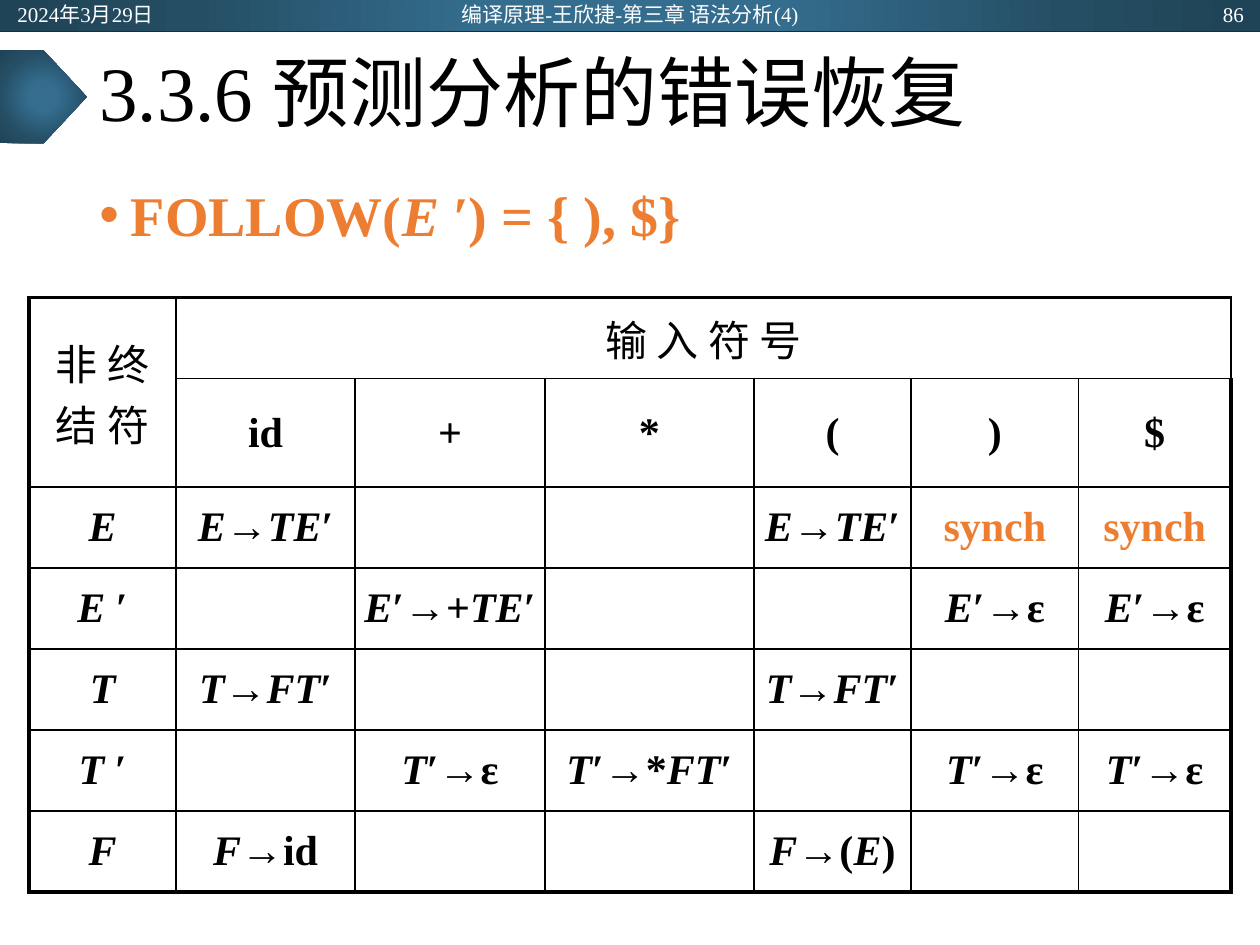
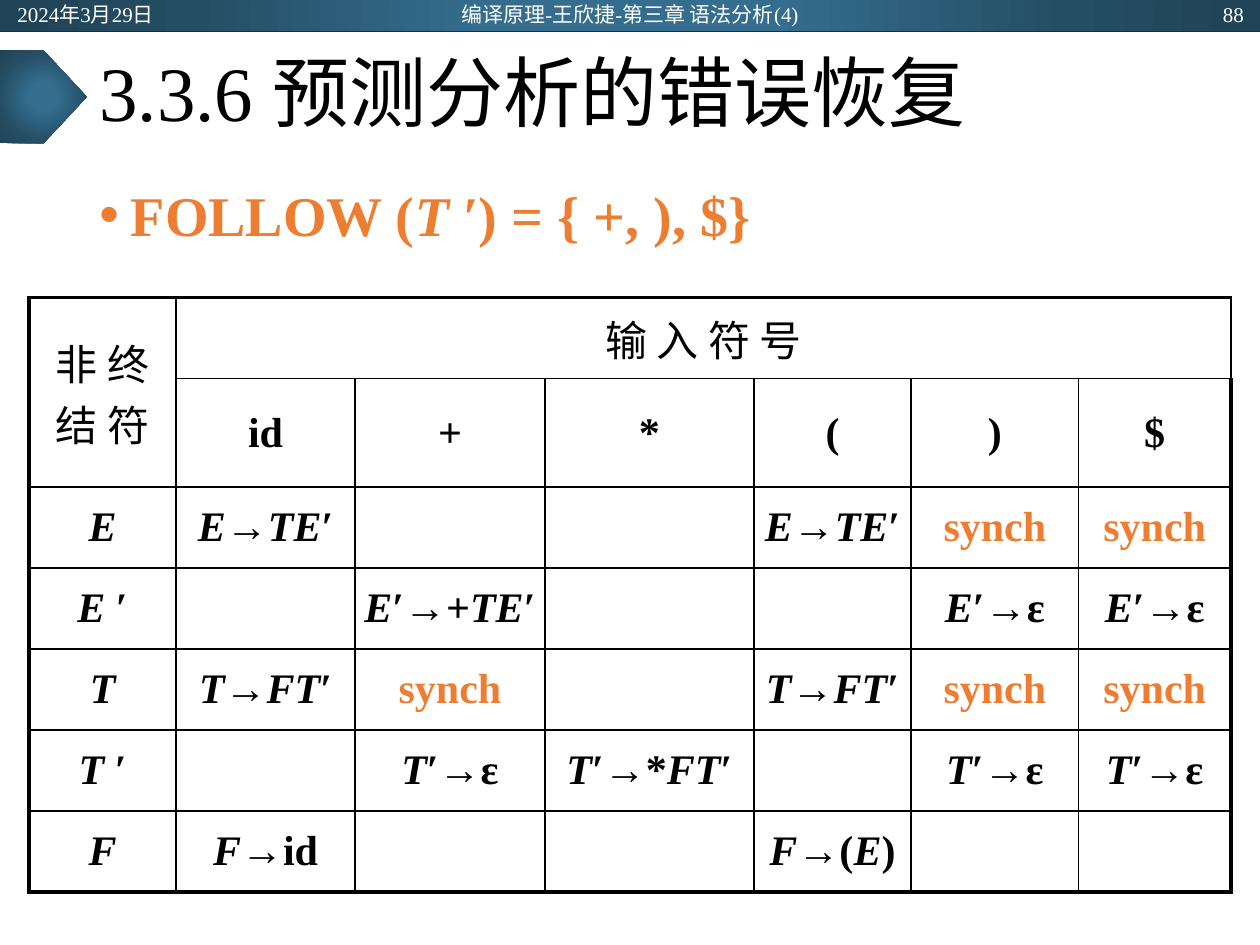
from itertools import groupby

from lxml import etree
from pptx import Presentation
from pptx.dml.color import RGBColor
from pptx.enum.shapes import MSO_CONNECTOR, MSO_SHAPE
from pptx.enum.text import MSO_ANCHOR, PP_ALIGN
from pptx.oxml.ns import qn
from pptx.util import Inches, Pt

LEFT, CENTER, RIGHT = PP_ALIGN.LEFT, PP_ALIGN.CENTER, PP_ALIGN.RIGHT
TOP, MIDDLE = MSO_ANCHOR.TOP, MSO_ANCHOR.MIDDLE
RECTANGLE, PENTAGON = MSO_SHAPE.RECTANGLE, MSO_SHAPE.PENTAGON
STRAIGHT = MSO_CONNECTOR.STRAIGHT

SLIDE_W, SLIDE_H = Inches(10), Inches(7.5)
FONT = "Times New Roman"
COLORS = {
    "ink": "000000",
    "paper": "FFFFFF",
    "accent": "ED7D31",
    "rule": "222A35",
    "glow": "346D8E",
    "shade": "254E64",
    "edge": "204457",
}
GLOW_STOPS = [(0, "glow"), (23, "glow"), (69, "shade"), (97, "edge")]
THIN, THICK = Pt(1), Pt(2.25)

DATE = "2024年3月29日"
COURSE = "编译原理-王欣捷-第三章 语法分析(4)"
TITLE = "3.3.6 预测分析的错误恢复"
VARIABLES = "ETF "
SYNCH = "synch"
COLUMN_WEIGHTS = [1.17, 1.42, 1.51, 1.66, 1.25, 1.33, 1.21]
TERMINALS = ["id", "+", "*", "(", ")", "$"]
PRODUCTIONS = {
    "E": {"id": "E→TE′", "(": "E→TE′"},
    "E ′": {"+": "E′→+TE′", ")": "E′→ε", "$": "E′→ε"},
    "T": {"id": "T→FT′", "(": "T→FT′"},
    "T ′": {"+": "T′→ε", "*": "T′→*FT′", ")": "T′→ε", "$": "T′→ε"},
    "F": {"id": "F→id", "(": "F→(E)"},
}
STEPS = [
    {"page": "86", "follow": ("FOLLOW(", "E ′) = { ), $}"),
     "synch": {"E": ")$"}},
    {"page": "88", "follow": ("FOLLOW (", "T ′) = { +, ), $}"),
     "synch": {"E": ")$", "T": "+)$"}},
]


def rgb(name):
    return RGBColor.from_string(COLORS[name])


def share(left, top, width, height):
    return (int(SLIDE_W * left), int(SLIDE_H * top),
            int(SLIDE_W * width), int(SLIDE_H * height))


def style_run(run, size, color, bold=False, italic=False):
    font = run.font
    font.name, font.size = FONT, Pt(size)
    font.bold, font.italic = bold, italic
    font.color.rgb = rgb(color)


def add_symbols(paragraph, text, size, color):
    for italic, letters in groupby(text, lambda letter: letter in VARIABLES):
        run = paragraph.add_run()
        run.text = "".join(letters)
        style_run(run, size, color, True, italic)


def add_text_area(slide, box, anchor):
    frame = slide.shapes.add_textbox(*box).text_frame
    frame.word_wrap = True
    frame.vertical_anchor = anchor
    return frame


def add_line_of_text(slide, box, text, size, color, align=LEFT):
    paragraph = add_text_area(slide, box, MIDDLE).paragraphs[0]
    paragraph.text = text
    paragraph.alignment = align
    style_run(paragraph.runs[0], size, color)
    return paragraph


def add_glowing_shape(slide, kind, box):
    shape = slide.shapes.add_shape(kind, *box)
    shape.shadow.inherit = False
    shape.line.fill.background()
    properties = shape.fill._xPr
    gradient = etree.Element(qn("a:gradFill"), rotWithShape="1")
    stops = etree.SubElement(gradient, qn("a:gsLst"))
    for position, color in GLOW_STOPS:
        stop = etree.SubElement(stops, qn("a:gs"), pos=str(position * 1000))
        etree.SubElement(stop, qn("a:srgbClr"), val=COLORS[color])
    circle = etree.SubElement(gradient, qn("a:path"), path="circle")
    etree.SubElement(circle, qn("a:fillToRect"),
                     {side: "50000" for side in "ltrb"})
    properties.find(qn("a:prstGeom")).addnext(gradient)


def add_header(slide, box, page):
    left, top, width, height = box
    add_glowing_shape(slide, RECTANGLE, box)
    rule = slide.shapes.add_connector(
        STRAIGHT, left, top + height, left + width, top + height)
    rule.line.color.rgb = rgb("rule")
    rule.line.width = Pt(0.5)
    etree.SubElement(rule.line._get_or_add_ln().getparent(), qn("a:effectLst"))
    parts = [(DATE, 0.004, 0.225, LEFT), (COURSE, 0.331, 0.338, CENTER),
             (page, 0.772, 0.225, RIGHT)]
    for text, start, span, align in parts:
        area = (left + int(width * start), top + int(height * 0.04),
                int(width * span), int(height * 0.8))
        add_line_of_text(slide, area, text, 12, "paper", align)


def add_title(slide, box):
    left, top, width, height = box
    marker_width = int(width * 0.08)
    add_glowing_shape(slide, PENTAGON, (
        0, top + int(height * 0.145), marker_width, int(height * 0.71)))
    title = add_line_of_text(slide, box, TITLE, 44, "ink")
    title.line_spacing = 0.9


def add_follow_set(slide, box, follow):
    paragraph = add_text_area(slide, box, TOP).paragraphs[0]
    properties = paragraph._p.get_or_add_pPr()
    indent = Inches(0.25)
    properties.set("marL", str(indent))
    properties.set("indent", str(-indent))
    etree.SubElement(properties, qn("a:buFont"), typeface="Arial")
    etree.SubElement(properties, qn("a:buChar"), char="•")
    function, members = follow
    run = paragraph.add_run()
    run.text = function
    style_run(run, 32, "accent", True)
    add_symbols(paragraph, members, 32, "accent")


def set_borders(cell, widths):
    properties = cell._tc.get_or_add_tcPr()
    for place, (side, width) in enumerate(widths.items()):
        line = etree.Element(qn("a:ln" + side), w=str(width))
        fill = etree.SubElement(line, qn("a:solidFill"))
        etree.SubElement(fill, qn("a:srgbClr"), val=COLORS["ink"])
        properties.insert(place, line)


def fill_parse_cell(cell, text):
    paragraph = cell.text_frame.paragraphs[0]
    paragraph.alignment = CENTER
    if text in ("非 终结 符", "输 入 符 号"):
        paragraph.text = text
        style_run(paragraph.runs[0], 24, "ink")
    else:
        add_symbols(paragraph, text, 24, "accent" if text == SYNCH else "ink")


def parse_rows(synch):
    rows = [["非 终结 符", "输 入 符 号"] + [""] * 5, [""] + TERMINALS]
    for variable, entries in PRODUCTIONS.items():
        marked = synch.get(variable, "")
        rows.append([variable] + [
            SYNCH if terminal in marked else entries.get(terminal, "")
            for terminal in TERMINALS])
    return rows


def add_parse_table(slide, box, synch):
    rows = parse_rows(synch)
    last_row, last_column = len(rows) - 1, len(COLUMN_WEIGHTS) - 1
    table = slide.shapes.add_table(
        len(rows), len(COLUMN_WEIGHTS), *box).table
    table.first_row = table.horz_banding = False
    for column, weight in zip(table.columns, COLUMN_WEIGHTS):
        column.width = int(box[2] * weight / sum(COLUMN_WEIGHTS))
    for r, row in enumerate(rows):
        for c, text in enumerate(row):
            cell = table.cell(r, c)
            cell.fill.background()
            cell.vertical_anchor = MIDDLE
            cell.margin_left = cell.margin_right = Inches(0.06)
            cell.margin_top = cell.margin_bottom = Inches(0.03)
            set_borders(cell, {
                "L": THICK if c == 0 else THIN,
                "R": THICK if c == last_column else THIN,
                "T": THICK if r == 0 else THIN,
                "B": THICK if r == last_row else THIN})
            if text:
                fill_parse_cell(cell, text)
    table.cell(0, 0).merge(table.cell(1, 0))
    table.cell(0, 1).merge(table.cell(0, last_column))


def add_recovery_slide(deck, step):
    slide = deck.slides.add_slide(deck.slide_layouts[6])
    add_header(slide, share(0, 0, 1, 0.033), step["page"])
    add_title(slide, share(0.069, 0.033, 0.862, 0.139))
    add_follow_set(slide, share(0.069, 0.184, 0.862, 0.717), step["follow"])
    add_parse_table(slide, share(0.023, 0.315, 0.954, 0.6), step["synch"])


def main():
    deck = Presentation()
    deck.slide_width, deck.slide_height = SLIDE_W, SLIDE_H
    for step in STEPS:
        add_recovery_slide(deck, step)
    deck.save("out.pptx")


if __name__ == "__main__":
    main()
